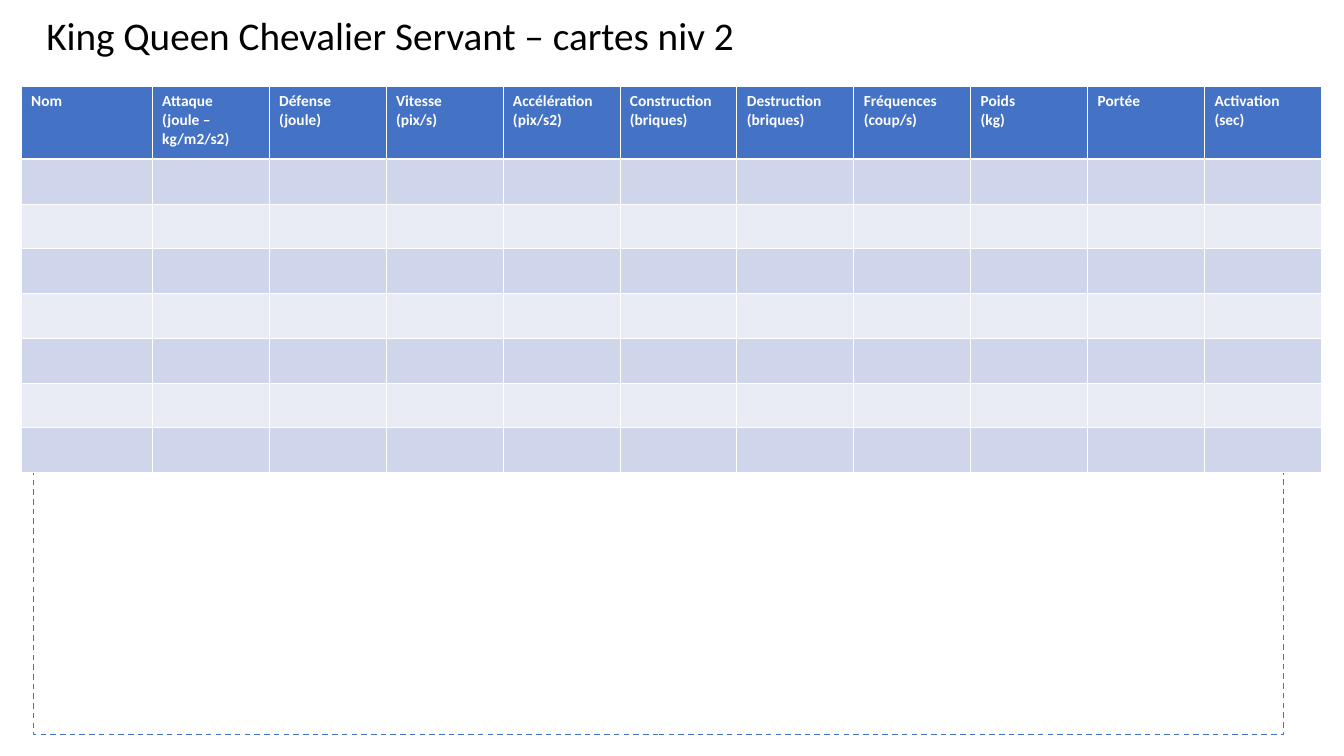
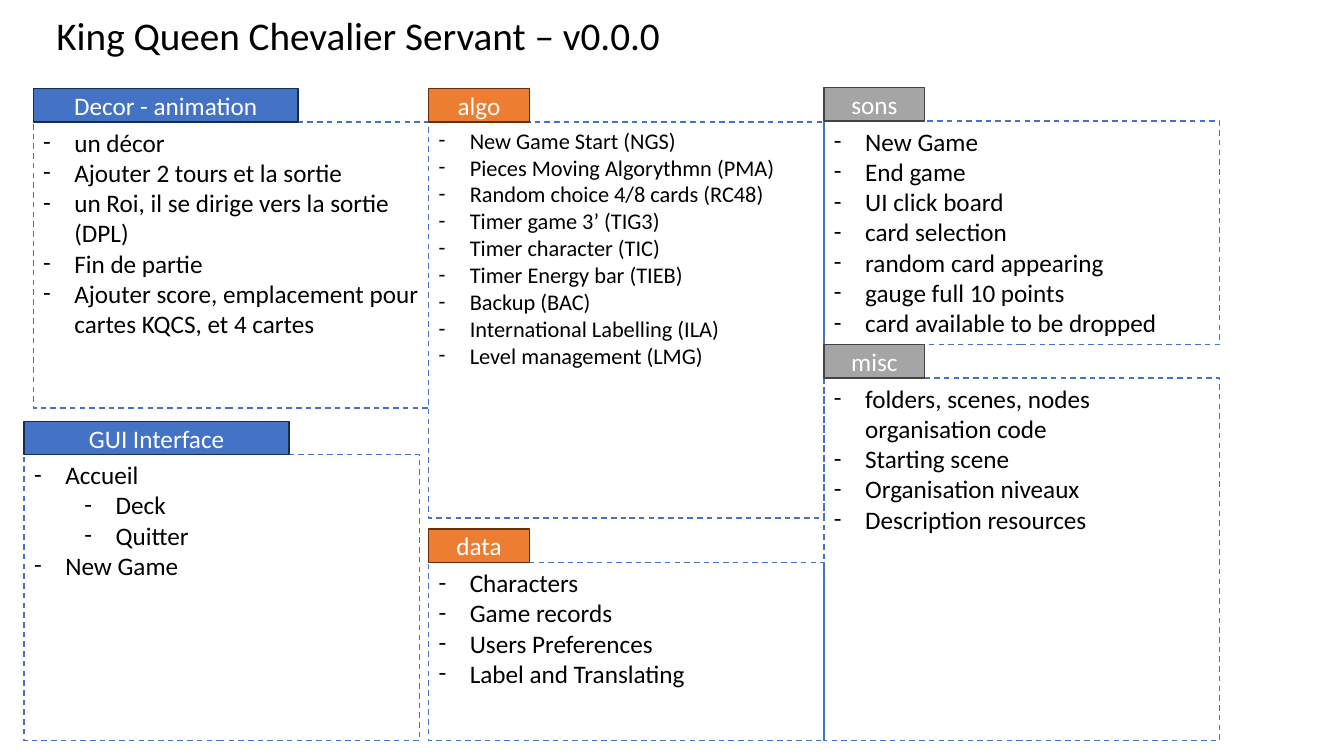
from collections import namedtuple
from dataclasses import dataclass

from lxml.etree import SubElement
from pptx import Presentation
from pptx.dml.color import RGBColor
from pptx.enum.dml import MSO_LINE
from pptx.enum.shapes import MSO_SHAPE
from pptx.enum.text import MSO_ANCHOR, PP_ALIGN
from pptx.oxml.ns import qn
from pptx.util import Inches, Pt


@dataclass(frozen=True)
class Theme:
    font: str = "Calibri"
    ink: str = "000000"
    white: str = "FFFFFF"
    blue: str = "4472C4"
    orange: str = "ED7D31"
    gray: str = "A5A5A5"
    bands: tuple = ("CFD5EA", "E9EBF5")
    title: int = 28
    body: int = 18
    small: int = 16
    head: int = 11


T = Theme()
EDGES = {T.blue: "172C51", T.orange: "64310F", T.gray: "434343"}

# Grid, in inches
WIDE, HIGH = 13.34, 7.5
LEFT, COL, TAB = 0.33, 3.925, 0.33
STEP = 0.31

HEADS = (
    "Nom", "Attaque\v(joule – kg/m2/s2)", "Défense\v(joule)", "Vitesse\v(pix/s)",
    "Accélération\v(pix/s2)", "Construction\v(briques)", "Destruction\v(briques)",
    "Fréquences\v(coup/s)", "Poids\v(kg)", "Portée", "Activation\v(sec)",
)

# top is the tab's top, tall the height of the list frame, shift a move off the column
Panel = namedtuple("Panel", "name col top tab tall hue items size shift",
                   defaults=(T.body, 0))
PANELS = (
    Panel("Decor - animation", 0, 0.88, 2.63, 2.84, T.blue, (
        "un décor", "Ajouter 2 tours et la sortie",
        "un Roi, il se dirige vers la sortie (DPL)", "Fin de partie",
        "Ajouter score, emplacement pour cartes KQCS, et 4 cartes")),
    Panel("GUI Interface", 0, 4.18, 2.63, 2.84, T.blue, (
        "Accueil", ("Deck", "Quitter"), "New Game"), shift=-0.09),
    Panel("algo", 1, 0.88, 1, 3.93, T.orange, (
        "New Game Start (NGS)", "Pieces Moving Algorythmn (PMA)",
        "Random choice 4/8 cards (RC48)", "Timer game 3’ (TIG3)",
        "Timer character (TIC)", "Timer Energy bar (TIEB)", "Backup (BAC)",
        "International Labelling (ILA)", "Level management (LMG)"), T.small),
    Panel("data", 1, 5.25, 1, 1.77, T.orange, (
        "Characters", "Game records", "Users Preferences", "Label and Translating")),
    Panel("sons", 2, 0.87, 1, 2.22, T.gray, (
        "New Game", "End game", "UI click board", "card selection",
        "random card appearing", "gauge full 10 points",
        "card available to be dropped")),
    Panel("misc", 2, 3.42, 1, 3.6, T.gray, (
        "folders, scenes, nodes organisation code", "Starting scene",
        "Organisation niveaux", "Description resources")),
)


def rgb(hue):
    return RGBColor.from_string(hue)


def write(para, text, size=T.body, hue=T.ink, bold=False, align=PP_ALIGN.LEFT):
    para.text = text
    para.alignment = align
    for run in para.runs:
        font = run.font
        font.name, font.size, font.bold = T.font, Pt(size), bold
        font.color.rgb = rgb(hue)


def dash(para, level):
    """Give a paragraph a hanging dash bullet."""
    para.level = level
    props = para._p.get_or_add_pPr()
    props.set("marL", str(Inches(STEP + level * 0.5)))
    props.set("indent", str(-Inches(STEP)))
    color = SubElement(props, qn("a:buClr"))
    SubElement(color, qn("a:srgbClr"), val=T.ink)
    SubElement(props, qn("a:buFont"), typeface=T.font)
    SubElement(props, qn("a:buChar"), char="-")


def rows(items, level=0):
    """Yield each text of a nested list with its level."""
    for item in items:
        if isinstance(item, str):
            yield item, level
        else:
            yield from rows(item, level + 1)


def place(x, y, w, h):
    return [Inches(n) for n in (x, y, w, h)]


def box(slide, x, y, w, h, fill=None, anchor=MSO_ANCHOR.TOP):
    """Draw a filled box, or a dashed frame if there is no fill."""
    shape = slide.shapes.add_shape(MSO_SHAPE.RECTANGLE, *place(x, y, w, h))
    shape.shadow.inherit = False
    shape.line.width = Pt(1)
    shape.line.color.rgb = rgb(EDGES[fill] if fill else T.blue)
    if fill:
        shape.fill.solid()
        shape.fill.fore_color.rgb = rgb(fill)
    else:
        shape.fill.background()
        shape.line.dash_style = MSO_LINE.DASH
    frame = shape.text_frame
    frame.word_wrap, frame.vertical_anchor = True, anchor
    return frame


def start(deck, text, x, w):
    """Add a slide with its title."""
    slide = deck.slides.add_slide(deck.slide_layouts.get_by_name("Title Only"))
    title = slide.shapes.title
    title.left, title.top, title.width, title.height = place(x, 0.06, w, 0.57)
    title.text_frame.word_wrap = False
    write(title.text_frame.paragraphs[0], text, size=T.title)
    return slide


def panel(slide, part):
    x = LEFT + part.col * COL + part.shift
    frame = box(slide, x, part.top + TAB, COL, part.tall)
    for n, (text, level) in enumerate(rows(part.items)):
        para = frame.add_paragraph() if n else frame.paragraphs[0]
        write(para, text, size=part.size)
        dash(para, level)
    label = box(slide, x, part.top, part.tab, TAB, part.hue, MSO_ANCHOR.MIDDLE)
    write(label.paragraphs[0], part.name, hue=T.white, align=PP_ALIGN.CENTER)


def paint(cell, hue, top=0.45, bottom=0.45):
    """Set a cell's white borders, then its fill."""
    props = cell._tc.get_or_add_tcPr()
    for side, width in (("L", 0.45), ("R", 0.45), ("T", top), ("B", bottom)):
        line = SubElement(props, qn(f"a:ln{side}"), w=str(Pt(width)))
        fill = SubElement(line, qn("a:solidFill"))
        SubElement(fill, qn("a:srgbClr"), val=T.white)
    cell.fill.solid()
    cell.fill.fore_color.rgb = rgb(hue)


def grid(slide, heads, count):
    """Draw a table with a header and empty banded rows."""
    first, rest, head, row = 1.3, 1.161, 0.72, 0.444
    size = first + rest * (len(heads) - 1), head + row * count
    table = slide.shapes.add_table(
        count + 1, len(heads), *place(0.21, 0.86, *size)).table
    for n, col in enumerate(table.columns):
        col.width = Inches(rest if n else first)
    for n, line in enumerate(table.rows):
        line.height = Inches(row if n else head)
        for m, cell in enumerate(line.cells):
            if n:
                paint(cell, T.bands[(n - 1) % 2], top=1.47 if n == 1 else 0.45)
            else:
                paint(cell, T.blue, bottom=1.47)
                write(cell.text_frame.paragraphs[0], heads[m],
                      size=T.head, hue=T.white, bold=True)


def main():
    deck = Presentation()
    deck.slide_width, deck.slide_height = Inches(WIDE), Inches(HIGH)

    cards = start(deck, "King Queen Chevalier Servant – cartes niv 2", 0.36, 7.04)
    box(cards, LEFT, 0.86, 12.41, 6.43)
    grid(cards, HEADS, 7)

    plan = start(deck, "King Queen Chevalier Servant – v0.0.0", 0.46, 6.2)
    for part in PANELS:
        panel(plan, part)

    deck.save("out.pptx")


if __name__ == "__main__":
    main()
